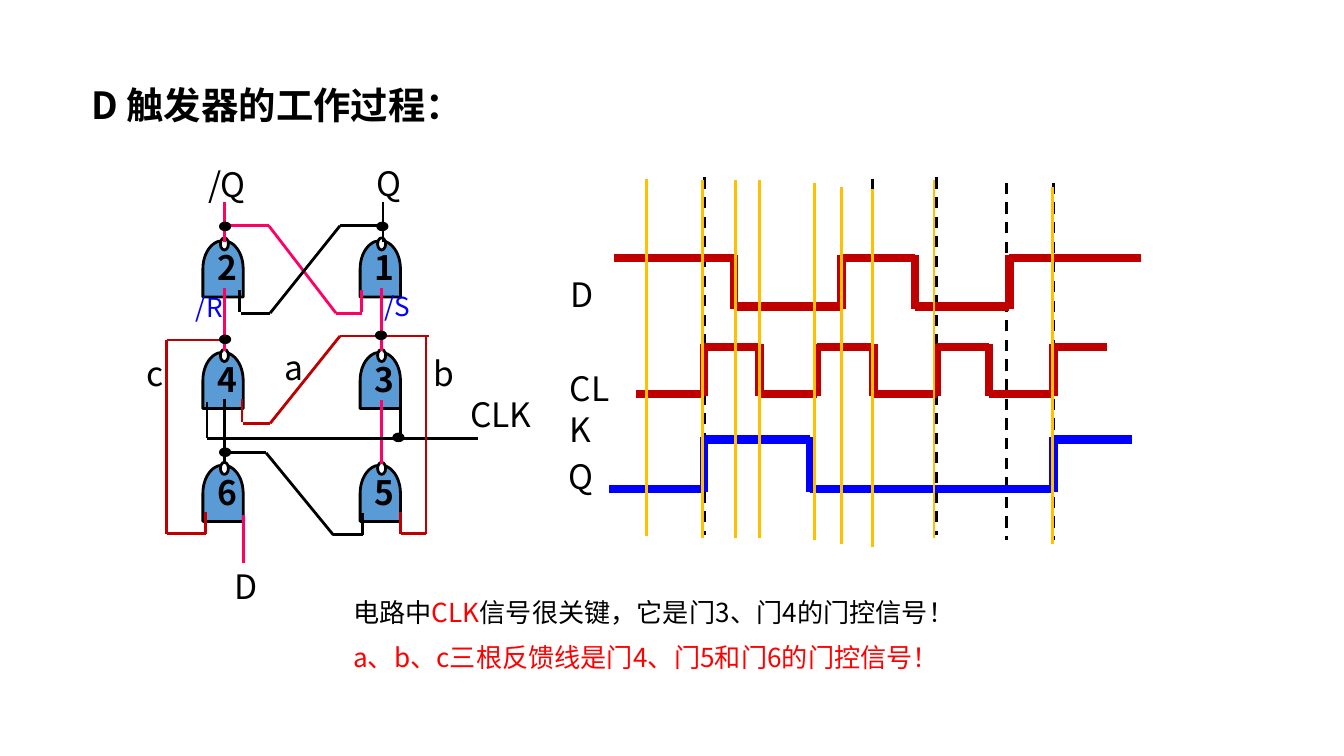
from dataclasses import dataclass
from itertools import pairwise

from lxml import etree
from pptx import Presentation
from pptx.dml.color import RGBColor
from pptx.enum import dml, shapes, text
from pptx.oxml import ns
from pptx.util import Inches, Pt

BLACK, WHITE, RED, BLUE = "000000", "FFFFFF", "FF0000", "0000FF"
PINK, CRIMSON, AMBER, GATE_FILL = "FF0066", "C00000", "FFC000", "5B9BD5"
SANS_SC, SANS_JP = "Noto Sans CJK SC", "Noto Sans CJK JP"
GUIDE_HEIGHT = 2.66


@dataclass(frozen=True)
class Wire:
    color: str
    points: tuple[tuple[float, float], ...]


@dataclass(frozen=True)
class Gate:
    number: str
    left: float
    top: float


@dataclass(frozen=True)
class Label:
    words: str
    left: float
    top: float
    width: float = 0.37
    height: float = 0.4
    size: int = 18
    color: str = BLACK
    font: str = SANS_SC
    bold: bool = False


@dataclass(frozen=True)
class Wave:
    """A two-level signal that changes level at each toggle, starting at first."""
    color: str
    first: float
    second: float
    start: float
    toggles: tuple[float, ...]
    end: float


WIRES = [
    # Outputs and the cross-coupled pair
    Wire(PINK, ((1.67, 1.8), (1.67, 1.5))),
    Wire(BLACK, ((2.85, 1.8), (2.85, 1.5))),
    Wire(PINK, ((1.67, 1.68), (2, 1.68), (2.5, 2.33), (2.69, 2.33))),
    Wire(PINK, ((2.69, 2.32), (2.69, 2.16))),
    Wire(BLACK, ((2.86, 1.68), (2.53, 1.68), (2.01, 2.33), (1.79, 2.33))),
    Wire(BLACK, ((1.78, 2.32), (1.78, 2.16))),
    # Links between the rows of gates
    Wire(PINK, ((1.67, 2.61), (1.67, 2.14))),
    Wire(PINK, ((2.84, 2.61), (2.84, 2.14))),
    Wire(BLACK, ((1.67, 3.44), (1.67, 2.97))),
    Wire(PINK, ((2.84, 3.45), (2.84, 2.98))),
    # Clock and data inputs
    Wire(BLACK, ((1.54, 3.26), (1.54, 2.99))),
    Wire(BLACK, ((2.98, 3.26), (2.98, 2.99))),
    Wire(BLACK, ((1.54, 3.26), (3.56, 3.26))),
    Wire(PINK, ((1.81, 3.83), (1.81, 4.19))),
    # Feedback lines a, b, c and the link from gate 6 to gate 5
    Wire(CRIMSON, ((3.19, 2.5), (2.53, 2.5), (2.01, 3.15), (1.81, 3.15))),
    Wire(CRIMSON, ((1.8, 3.14), (1.8, 2.97))),
    Wire(CRIMSON, ((3.17, 2.49), (3.17, 3.97), (2.98, 3.97), (2.98, 3.81))),
    Wire(CRIMSON, ((1.67, 2.53), (1.24, 2.53), (1.24, 3.97), (1.53, 3.97),
                   (1.53, 3.81))),
    Wire(BLACK, ((1.67, 3.37), (1.98, 3.37), (2.48, 3.98), (2.7, 3.98),
                 (2.7, 3.82))),
]
GATES = [
    Gate(number, left, top)
    for top, numbers in ((1.79, "21"), (2.62, "43"), (3.46, "65"))
    for number, left in zip(numbers, (1.51, 2.68))
]
JUNCTIONS = [(1.64, 1.66), (2.81, 1.66), (1.64, 2.5), (2.8, 2.47),
             (2.93, 3.23), (1.64, 3.34)]
LABELS = [
    Label("Q", 2.7, 1.16),
    Label("/Q", 1.45, 1.17, 0.51),
    Label("CLK", 3.4, 2.88, 0.73),
    Label("D", 1.65, 4.16),
    Label("a", 2.02, 2.53),
    Label("b", 3.13, 2.58),
    Label("c", 0.99, 2.58),
    Label("D", 4.15, 1.99, 0.32),
    Label("CLK", 4.14, 2.69, 0.57),
    Label("Q", 4.13, 3.34, 0.32),
    Label("/S", 2.76, 2.11, 0.52, 0.34, 14, BLUE, SANS_JP),
    Label("/R", 1.36, 2.12, 0.58, 0.34, 14, BLUE, SANS_JP),
]
WAVES = [
    Wave(CRIMSON, 1.92, 2.28, 4.57, (5.46, 6.26, 6.81, 7.51), 8.49),
    Wave(CRIMSON, 2.93, 2.58, 4.73,
         (5.24, 5.65, 6.08, 6.5, 6.97, 7.36, 7.84), 8.24),
    Wave(BLUE, 3.64, 3.27, 4.53, (5.24, 6.03, 7.84), 8.42),
]
# Guides are (x, top)
DASHED_GUIDES = [(5.24, 1.32), (5.65, 1.34), (6.06, 1.36), (6.49, 1.33),
                 (6.97, 1.32), (7.49, 1.36), (7.84, 1.36)]
AMBER_GUIDES = [(4.81, 1.33), (5.23, 1.34), (5.47, 1.34), (5.65, 1.34),
                (6.06, 1.36), (6.26, 1.39), (6.49, 1.41), (6.95, 1.34),
                (7.83, 1.39)]


def rgb(color: str) -> RGBColor:
    return RGBColor.from_string(color)


def add_line(slide, start, end, color: str, width: float = 1.5):
    points = [Inches(value) for value in (*start, *end)]
    line = slide.shapes.add_connector(shapes.MSO_CONNECTOR.STRAIGHT, *points)
    line.line.color.rgb = rgb(color)
    line.line.width = Pt(width)
    etree.SubElement(line._element.spPr, ns.qn("a:effectLst"))
    return line


def add_wire(slide, wire: Wire) -> None:
    for start, end in pairwise(wire.points):
        add_line(slide, start, end, wire.color)


def add_wave(slide, wave: Wave) -> None:
    level, other = wave.first, wave.second
    top, bottom = sorted((level, other))
    for start, end in pairwise((wave.start, *wave.toggles, wave.end)):
        add_line(slide, (start, level), (end, level), wave.color, 4.5)
        level, other = other, level
    for x in wave.toggles:
        # Overshoot to close the corners
        add_line(slide, (x, bottom + 0.02), (x, top - 0.02), wave.color, 4.5)


def add_solid(slide, kind, left: float, top: float, width: float,
              height: float, fill: str):
    shape = slide.shapes.add_shape(
        kind, Inches(left), Inches(top), Inches(width), Inches(height))
    shape.shadow.inherit = False
    shape.fill.solid()
    shape.fill.fore_color.rgb = rgb(fill)
    shape.line.color.rgb = rgb(BLACK)
    shape.line.width = Pt(1.5)
    return shape


def add_upright(slide, kind, left: float, top: float, width: float,
                height: float, fill: str) -> None:
    """Draw a shape turned by 270 degrees that fills the given box."""
    shift = (height - width) / 2
    shape = add_solid(slide, kind, left - shift, top + shift, height, width, fill)
    shape.rotation = 270


def add_run(paragraph, words: str, size: int, color: str, font: str,
            bold: bool = False) -> None:
    run = paragraph.add_run()
    run.text = words
    run.font.size = Pt(size)
    run.font.bold = bold
    run.font.color.rgb = rgb(color)
    run.font.name = font
    east_asian = etree.SubElement(run._r.get_or_add_rPr(), ns.qn("a:ea"))
    east_asian.set("typeface", font)


def add_text_frame(slide, left: float, top: float, width: float, height: float):
    box = slide.shapes.add_textbox(
        Inches(left), Inches(top), Inches(width), Inches(height))
    box.text_frame.word_wrap = True
    return box.text_frame


def add_label(slide, label: Label) -> None:
    frame = add_text_frame(slide, label.left, label.top, label.width, label.height)
    add_run(frame.paragraphs[0], label.words, label.size, label.color,
            label.font, label.bold)


def add_gate(slide, gate: Gate) -> None:
    add_upright(slide, shapes.MSO_SHAPE.FLOWCHART_DELAY, gate.left, gate.top,
                0.3, 0.42, GATE_FILL)
    add_upright(slide, shapes.MSO_SHAPE.OVAL, gate.left + 0.13, gate.top - 0.02,
                0.06, 0.09, WHITE)


def add_title(slide) -> None:
    title = slide.shapes.title
    title.left, title.top = Inches(0.58), Inches(0.6)
    title.width, title.height = Inches(6.67), Inches(0.62)
    title.text_frame.vertical_anchor = text.MSO_ANCHOR.TOP
    paragraph = title.text_frame.paragraphs[0]
    paragraph.alignment = text.PP_ALIGN.LEFT
    paragraph.line_spacing = 0.9
    add_run(paragraph, "D 触发器的工作过程：", 20, BLACK, SANS_JP, True)


def add_notes_on_signals(slide) -> None:
    frame = add_text_frame(slide, 2.53, 4.39, 5.57, 0.69)
    first = frame.paragraphs[0]
    for words, color in (("电路中", BLACK), ("CLK", RED),
                         ("信号很关键，它是门3、门4的门控信号！", BLACK)):
        add_run(first, words, 14, color, SANS_SC)
    second = frame.add_paragraph()
    second.space_before = Pt(7)
    add_run(second, "a、b、c三根反馈线是门4、门5和门6的门控信号！", 14, RED, SANS_SC)


def main() -> None:
    presentation = Presentation()
    presentation.slide_width = Inches(10)
    presentation.slide_height = presentation.slide_width * 9 // 16
    slide = presentation.slides.add_slide(presentation.slide_layouts[5])
    add_title(slide)
    for x, top in DASHED_GUIDES:
        guide = add_line(slide, (x, top), (x, top + GUIDE_HEIGHT), BLACK)
        guide.line.dash_style = dml.MSO_LINE.DASH
    for gate in GATES:
        add_gate(slide, gate)
    for wire in WIRES:
        add_wire(slide, wire)
    for left, top in JUNCTIONS:
        add_solid(slide, shapes.MSO_SHAPE.OVAL, left, top, 0.07, 0.05, BLACK)
    for gate in GATES:
        add_label(slide, Label(gate.number, gate.left + 0.01, gate.top, 0.29,
                               bold=True))
    for wave in WAVES:
        add_wave(slide, wave)
    for x, top in AMBER_GUIDES:
        add_line(slide, (x, top), (x, top + GUIDE_HEIGHT), AMBER)
    for label in LABELS:
        add_label(slide, label)
    add_notes_on_signals(slide)
    presentation.save("out.pptx")


if __name__ == "__main__":
    main()
